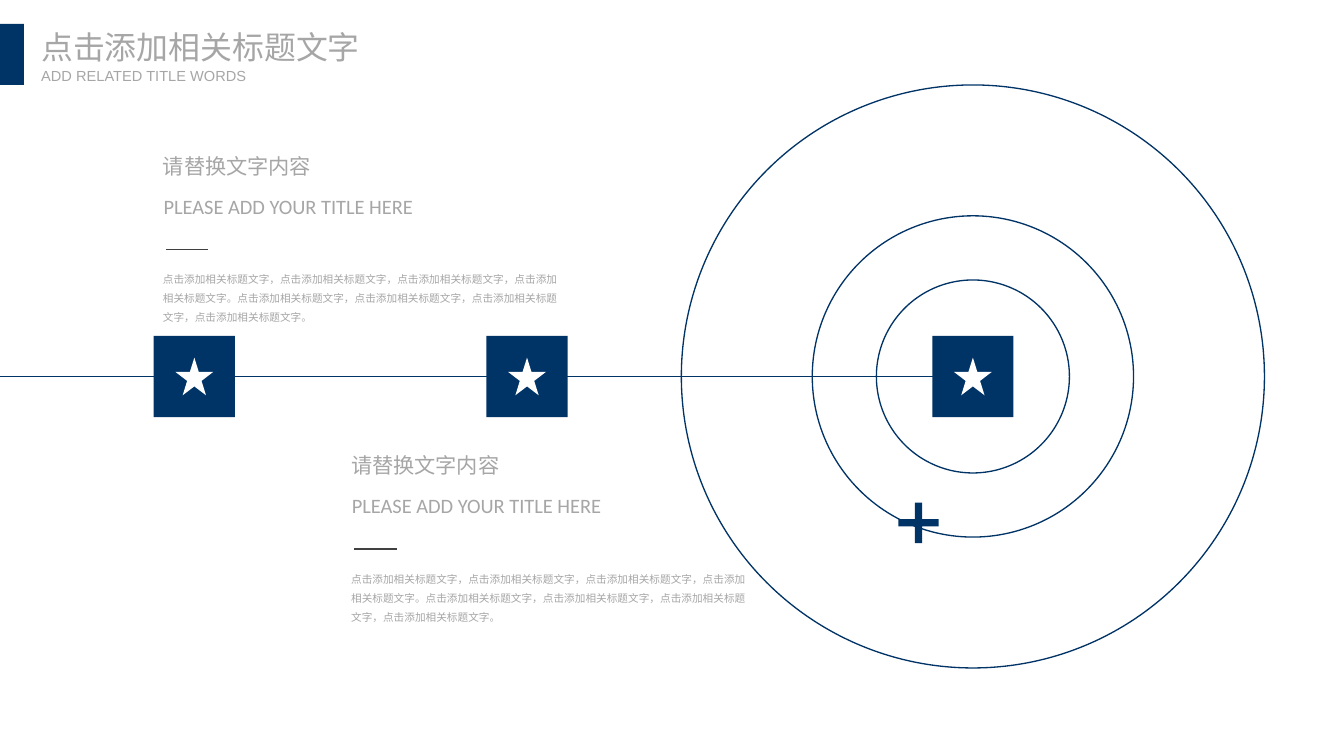
"""Build a timeline slide whose axis ends in a target of concentric rings."""
from pptx import Presentation
from pptx.dml.color import RGBColor
from pptx.enum.shapes import MSO_CONNECTOR as Connector, MSO_SHAPE as Shape
from pptx.enum.text import MSO_ANCHOR as Anchor, MSO_AUTO_SIZE as AutoSize, PP_ALIGN as Align
from pptx.oxml.ns import qn
from pptx.util import Pt
from lxml.etree import SubElement

TITLE = "点击添加相关标题文字"
SUBTITLE = "ADD RELATED TITLE WORDS"
HEADING = "请替换文字内容"
SUBHEADING = "PLEASE ADD YOUR TITLE HERE"
SENTENCE = "，".join([TITLE] * 4) + "。"
BODY = SENTENCE * 2

COLORS = {"navy": "003366", "grey": "A6A6A6", "dark": "404040", "white": "FFFFFF"}
EAST_ASIAN_FONT = "Noto Sans CJK SC"
SLIDE_SIZE = (1012.32, 569.52)
AXIS_Y = 283.6
MARKER_CENTRES = (146.4, 397, 732.8)
MARKER_SIZE, STAR_SIZE = 61.2, 28.4
RING_DIAMETERS = (145.4, 242, 439.2)
PLUS_CENTRE, PLUS_SIZE = (691.9, 393.9), 30.4
ACCENT_BAR = (0, 18, 18, 46)
TITLE_BOX = (31, 20.9, 260, 29)
SUBTITLE_BOX = (31, 50.4, 180, 14)

NOTE_ORIGINS = ((115.6, 111.6), (257.4, 337.5))
NOTE_RULE = (9.6, 76.2, 31.7)
NOTE_PARTS = (
    (HEADING, (0, 0, 160, 27), {"size": Pt(16), "name": "Calibri"}, 1),
    (SUBHEADING, (0.5, 30.7, 256, 26), {"size": Pt(15.4), "name": "Calibri"}, 1),
    (BODY, (0, 85.4, 312, 49), {"size": Pt(8), "name": "Arial"}, 1.5),
)


def rgb(color):
    return RGBColor.from_string(COLORS[color])


def add_figure(slide, kind, box, fill=None, line=None):
    figure = slide.shapes.add_shape(kind, *map(Pt, box))
    figure.shadow.inherit = False
    if fill:
        figure.fill.solid()
        figure.fill.fore_color.rgb = rgb(fill)
    else:
        figure.fill.background()
    if line:
        figure.line.color.rgb = rgb(line)
        figure.line.width = Pt(1)
    else:
        figure.line.fill.background()
    return figure


def add_centred(slide, kind, centre, size, **paint):
    x, y = centre
    return add_figure(slide, kind, (x - size / 2, y - size / 2, size, size), **paint)


def add_rule(slide, x, y, length, color):
    rule = slide.shapes.add_connector(Connector.STRAIGHT, Pt(x), Pt(y), Pt(x + length), Pt(y))
    rule.line.color.rgb = rgb(color)
    rule.line.width = Pt(1)
    SubElement(rule._element.spPr, qn("a:effectLst"))


def write(holder, text, font_format, spacing=1, inset=(7.2, 3.6)):
    frame = holder.text_frame
    side, end = map(Pt, inset)
    frame_format = {
        "word_wrap": True, "auto_size": AutoSize.NONE, "vertical_anchor": Anchor.TOP,
        "margin_left": side, "margin_right": side, "margin_top": end, "margin_bottom": end,
    }
    for key, value in frame_format.items():
        setattr(frame, key, value)
    paragraph = frame.paragraphs[0]
    paragraph.alignment = Align.LEFT
    paragraph.line_spacing = spacing
    run = paragraph.add_run()
    run.text = text
    for key, value in font_format.items():
        setattr(run.font, key, value)
    run.font.color.rgb = rgb("grey")
    SubElement(run._r.get_or_add_rPr(), qn("a:ea"), typeface=EAST_ASIAN_FONT)


def add_header(slide):
    add_figure(slide, Shape.RECTANGLE, ACCENT_BAR, fill="navy")
    title = slide.shapes.title
    for key, value in zip(("left", "top", "width", "height"), TITLE_BOX):
        setattr(title, key, Pt(value))
    write(title, TITLE, {"size": Pt(24), "name": EAST_ASIAN_FONT}, inset=(0, 0))
    subtitle = slide.shapes.add_textbox(*map(Pt, SUBTITLE_BOX))
    write(subtitle, SUBTITLE, {"size": Pt(11), "name": "Arial"}, inset=(0, 0))


def add_timeline(slide):
    target_x = MARKER_CENTRES[-1]
    for diameter in RING_DIAMETERS:
        add_centred(slide, Shape.OVAL, (target_x, AXIS_Y), diameter, line="navy")
    add_rule(slide, 0, AXIS_Y, target_x, "navy")
    for x in MARKER_CENTRES:
        add_centred(slide, Shape.RECTANGLE, (x, AXIS_Y), MARKER_SIZE, fill="navy")
        add_centred(slide, Shape.STAR_5_POINT, (x, AXIS_Y), STAR_SIZE, fill="white")
    plus = add_centred(slide, Shape.CROSS, PLUS_CENTRE, PLUS_SIZE, fill="navy")
    plus.adjustments[0] = 0.41


def add_note(slide, left, top):
    for text, (dx, dy, width, height), font_format, spacing in NOTE_PARTS:
        box = slide.shapes.add_textbox(*map(Pt, (left + dx, top + dy, width, height)))
        write(box, text, font_format, spacing)
    dx, dy, length = NOTE_RULE
    add_rule(slide, left + dx, top + dy, length, "dark")


def main():
    deck = Presentation()
    deck.slide_width, deck.slide_height = map(Pt, SLIDE_SIZE)
    slide = deck.slides.add_slide(deck.slide_layouts[5])
    add_timeline(slide)
    for origin in NOTE_ORIGINS:
        add_note(slide, *origin)
    add_header(slide)
    deck.save("out.pptx")


if __name__ == "__main__":
    main()
